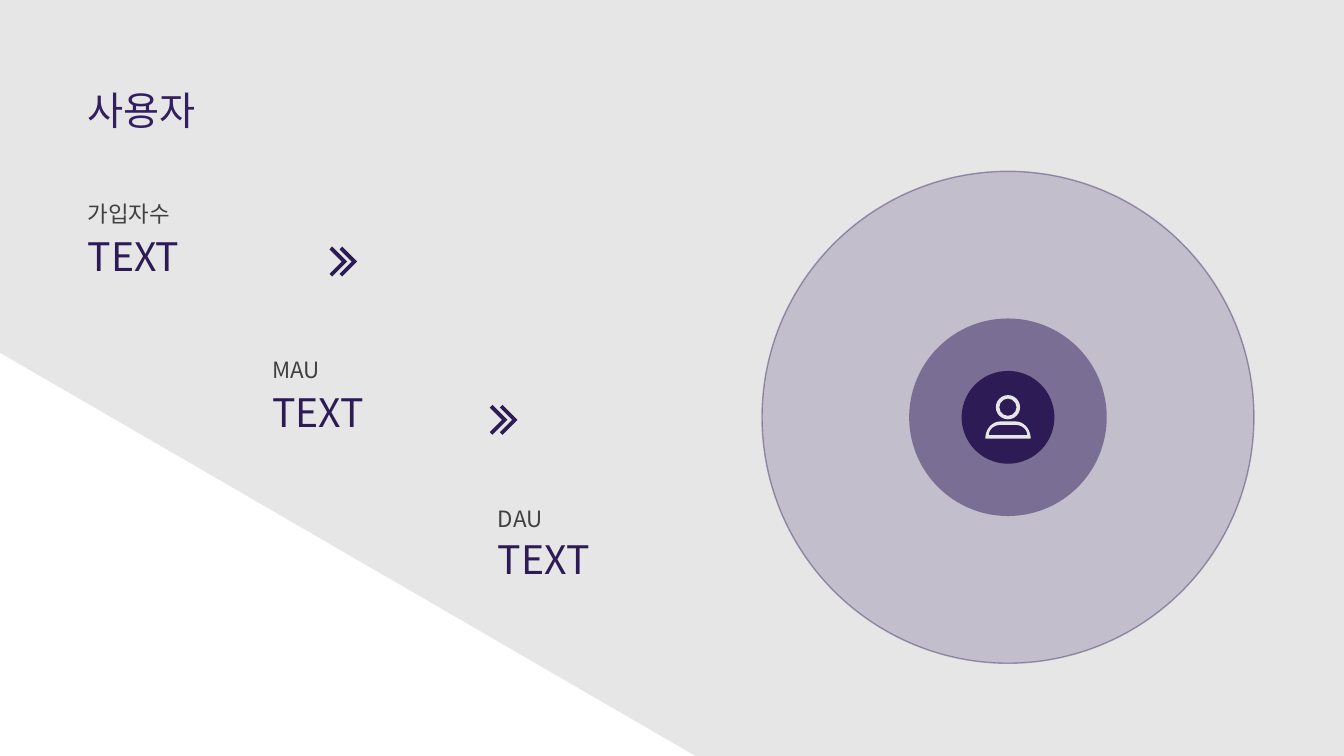
from dataclasses import dataclass
from math import cos, pi, sin

from lxml import etree
from pptx import Presentation
from pptx.dml.color import RGBColor
from pptx.enum.shapes import MSO_SHAPE
from pptx.enum.text import MSO_ANCHOR, MSO_AUTO_SIZE, PP_ALIGN
from pptx.oxml.ns import qn
from pptx.util import Pt

OVAL, DONUT, RECTANGLE = MSO_SHAPE.OVAL, MSO_SHAPE.DONUT, MSO_SHAPE.RECTANGLE
TOP, LEFT = MSO_ANCHOR.TOP, PP_ALIGN.LEFT
GROW = MSO_AUTO_SIZE.SHAPE_TO_FIT_TEXT


@dataclass(frozen=True)
class Theme:
    """Colours, font and type sizes of the slide."""
    font: str = "Noto Sans CJK KR"
    panel: str = "E6E6E6"
    title: str = "331F5F"
    accent: str = "2D1B55"
    label: str = "404040"
    large: int = 28
    small: int = 16
    spacing: float = 0.9


THEME = Theme()


def set_alpha(fill_format, percent):
    """Make a solid fill partly transparent."""
    colour = fill_format._xPr.find(qn("a:solidFill"))[0]
    etree.SubElement(colour, qn("a:alpha")).set("val", str(percent * 1000))


def paint(shape, colour, alpha=None):
    """Give a shape a plain fill without line or shadow."""
    shape.shadow.inherit = False
    shape.fill.solid()
    shape.fill.fore_color.rgb = RGBColor.from_string(colour)
    if alpha:
        set_alpha(shape.fill, alpha)
    shape.line.fill.background()


def write(shape, box, text, size, colour):
    """Place a text shape in its box and format its single line."""
    shape.left, shape.top, shape.width, shape.height = map(Pt, box)
    tf = shape.text_frame
    tf.text = text
    tf.word_wrap = True
    tf.auto_size = GROW
    tf.vertical_anchor = TOP
    tf.margin_left = tf.margin_top = tf.margin_right = tf.margin_bottom = 0
    p = tf.paragraphs[0]
    p.alignment = LEFT
    p.line_spacing = THEME.spacing
    r = p.runs[0]
    r.font.name = THEME.font
    r.font.size = Pt(size)
    r.font.color.rgb = RGBColor.from_string(colour)
    ea = etree.SubElement(r.font._element, qn("a:ea"))
    ea.set("typeface", THEME.font)


def add_outline(shapes, contours, colour):
    """Draw closed contours, given in points, as one filled outline."""
    builder = None
    for contour in contours:
        start, *rest = [(Pt(x), Pt(y)) for x, y in contour]
        if builder is None:
            builder = shapes.build_freeform(*start, scale=1.0)
        else:
            builder.move_to(*start)
        builder.add_line_segments(rest, close=True)
    paint(builder.convert_to_shape(), colour)


def add_panel(s, width, height):
    """Fill the slide except for its lower left corner."""
    add_outline(s.shapes, [[(0, 0), (width, 0), (width, height),
                            (496.8, height), (0, 252)]], THEME.panel)


def add_title(s, box, text):
    """Bring the title to the front and fill it."""
    title = s.shapes.title
    title.element.getparent().append(title.element)
    write(title, box, text, THEME.large, THEME.title)


def add_step(s, left, top, label, value_gap):
    """Add a small label with a large value below it."""
    for text, y, width, height, size, colour in (
            (label, top, 90, 19.44, THEME.small, THEME.label),
            ("TEXT", top + value_gap, 217.44, 33.84, THEME.large, THEME.accent)):
        box = (left, y, width, height)
        write(s.shapes.add_textbox(*map(Pt, box)), box, text, size, colour)


def make_corner(sp, thickness):
    """Turn a preset shape into an L-shaped corner."""
    geometry = sp.element.spPr.find(qn("a:prstGeom"))
    geometry.set("prst", "corner")
    guides = geometry.find(qn("a:avLst"))
    for name in ("adj1", "adj2"):
        guide = etree.SubElement(guides, qn("a:gd"))
        guide.set("name", name)
        guide.set("fmla", f"val {thickness}")


def add_chevrons(s, left, top, size=15.12, pitch=7.2):
    """Add a pair of chevrons pointing right."""
    group = s.shapes.add_group_shape()
    for i in range(2):
        sp = group.shapes.add_shape(
            RECTANGLE, Pt(left + i * pitch), Pt(top), Pt(size), Pt(size))
        make_corner(sp, 17700)
        sp.rotation = 225
        paint(sp, THEME.accent)


def add_round(shapes, kind, cx, cy, diameter, colour, alpha=None):
    """Add a round shape about a centre."""
    sp = shapes.add_shape(kind, Pt(cx - diameter / 2), Pt(cy - diameter / 2),
                          Pt(diameter), Pt(diameter))
    paint(sp, colour, alpha)
    return sp


def dome(left, top, width, height, radius, steps=16):
    """Return the points of a flat-based dome with rounded shoulders."""
    arc = [(radius * (1 - cos(i * pi / 2 / steps)),
            height * (1 - sin(i * pi / 2 / steps))) for i in range(steps + 1)]
    return ([(left + x, top + y) for x, y in arc]
            + [(left + width - x, top + y) for x, y in reversed(arc)])


def add_person(shapes, cx, cy, wall=2.5):
    """Add the user icon about a centre."""
    head = add_round(shapes, DONUT, cx, cy - 7.2, 17.28, THEME.panel)
    head.adjustments[0] = wall / 17.28
    left, top, width, height, radius = cx - 16.2, cy + 3, 32.4, 12.24, 10.8
    inner = dome(left + wall, top + wall, width - 2 * wall,
                 height - 2 * wall, radius - wall)
    add_outline(shapes, [dome(left, top, width, height, radius), inner[::-1]],
                THEME.panel)


def add_circles(s, cx, cy):
    """Add the concentric user circles with the icon in the middle."""
    shapes = s.shapes.add_group_shape().shapes
    outer = add_round(shapes, OVAL, cx, cy, 351.36, THEME.title, 20)
    outer.line.color.rgb = RGBColor.from_string(THEME.accent)
    outer.line.width = Pt(1)
    set_alpha(outer.line.fill, 40)
    add_round(shapes, OVAL, cx, cy, 141.12, THEME.title, 50)
    add_round(shapes, OVAL, cx, cy, 66.24, THEME.accent)
    add_person(shapes, cx, cy)


def main():
    """Build the slide and save it."""
    prs = Presentation()
    prs.slide_width, prs.slide_height = Pt(960), Pt(540)
    s = prs.slides.add_slide(prs.slide_layouts[5])
    add_panel(s, 960, 540)
    add_title(s, (62.64, 65.52, 378, 33.84), "사용자")
    for left, top, label, value_gap in ((62.64, 145.44, "가입자수", 24.48),
                                        (194.4, 256.32, "MAU", 25.2),
                                        (355.68, 362.88, "DAU", 23.04)):
        add_step(s, left, top, label, value_gap)
    for left, top in ((229.68, 179.28), (344.16, 292.32)):
        add_chevrons(s, left, top)
    add_circles(s, 720, 298.08)
    prs.save("out.pptx")


if __name__ == "__main__":
    main()
